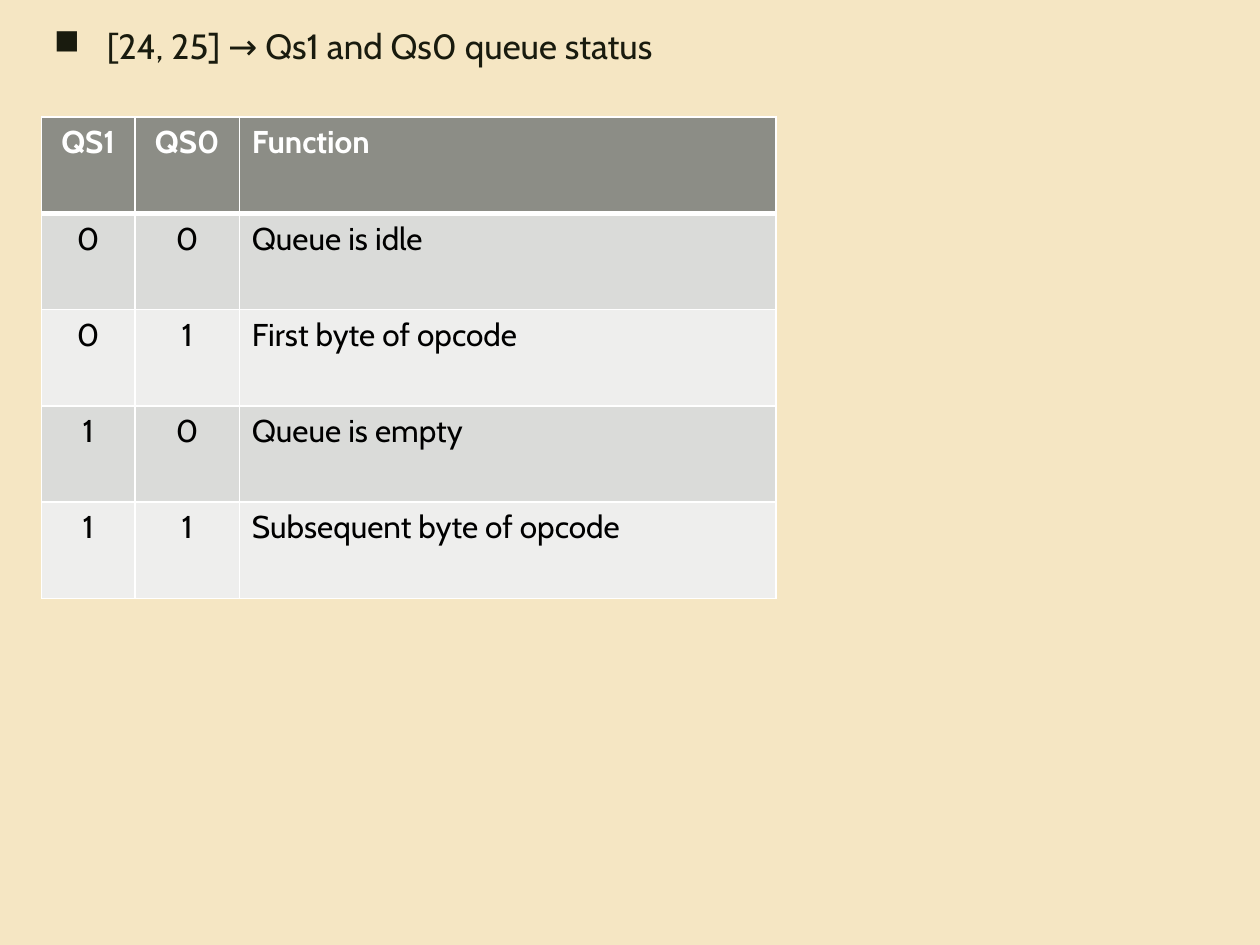
from lxml import etree
from pptx import Presentation
from pptx.dml.color import RGBColor
from pptx.enum.text import PP_ALIGN
from pptx.oxml.ns import qn
from pptx.util import Inches, Pt

CENTER, LEFT = PP_ALIGN.CENTER, PP_ALIGN.LEFT
FONT = "Cabin"
WHITE, BLACK, INK = "FFFFFF", "000000", "191B0E"
PAPER, HEADER = "F5E6C3", "8C8D86"
BANDS = ("DADBD9", "EEEEED")
COLUMN_WIDTHS = (0.74, 0.83, 4.26)
ROWS = (
    ("QS1", "QS0", "Function"),
    ("0", "0", "Queue is idle"),
    ("0", "1", "First byte of opcode"),
    ("1", "0", "Queue is empty"),
    ("1", "1", "Subsequent byte of opcode"),
)


def color(value):
    return RGBColor.from_string(value)


def style(para, size, value, bold=False):
    for span in para.runs:
        span.font.name = FONT
        span.font.size = Pt(size)
        span.font.bold = bold
        span.font.color.rgb = color(value)


def add_borders(cell, top, bottom):
    """Draw white cell borders; they must precede the fill in the XML."""
    properties = cell._tc.get_or_add_tcPr()
    widths = {"a:lnL": 1, "a:lnR": 1, "a:lnT": top, "a:lnB": bottom}
    for place, (tag, width) in enumerate(widths.items()):
        line = etree.Element(qn(tag), w=str(Pt(width)))
        fill = etree.SubElement(line, qn("a:solidFill"))
        etree.SubElement(fill, qn("a:srgbClr"), val=WHITE)
        properties.insert(place, line)


def add_bullet_line(page, left, top, width, height):
    box = page.shapes.add_textbox(*map(Inches, (left, top, width, height)))
    box.text_frame.word_wrap = True
    para = box.text_frame.paragraphs[0]
    para.text = "[24, 25] → Qs1 and Qs0 queue status"
    para.line_spacing = 0.94
    para.space_after = Pt(2)
    # Hanging square bullet
    properties = para._p.get_or_add_pPr()
    properties.set("marL", str(Inches(0.42)))
    properties.set("indent", str(Inches(-0.42)))
    etree.SubElement(properties, qn("a:buChar"), char="■")
    style(para, 20, INK)


def add_status_table(page, left, top, width, height):
    frame = page.shapes.add_table(len(ROWS), len(COLUMN_WIDTHS),
                                  *map(Inches, (left, top, width, height)))
    table = frame.table
    for column, share in zip(table.columns, COLUMN_WIDTHS):
        column.width = Inches(width * share / sum(COLUMN_WIDTHS))
    for row_index, texts in enumerate(ROWS):
        is_header = row_index == 0
        for column_index, text in enumerate(texts):
            cell = table.cell(row_index, column_index)
            cell.text = text
            cell.fill.solid()
            cell.fill.fore_color.rgb = color(
                HEADER if is_header else BANDS[(row_index - 1) % 2])
            # A heavier rule separates the header from the body
            add_borders(cell, top=3 if row_index == 1 else 1,
                        bottom=3 if is_header else 1)
            para = cell.text_frame.paragraphs[0]
            para.alignment = CENTER if column_index < 2 else LEFT
            style(para, 18, WHITE if is_header else BLACK, is_header)


def main():
    deck = Presentation()
    deck.slide_width, deck.slide_height = Inches(10), Inches(7.5)
    page = deck.slides.add_slide(deck.slide_layouts[6])
    page.background.fill.solid()
    page.background.fill.fore_color.rgb = color(PAPER)

    margin = 0.33
    add_status_table(page, margin, 0.93, sum(COLUMN_WIDTHS), 3.82)
    add_bullet_line(page, margin, 0.17, 8.75, 0.85)
    deck.save("out.pptx")


if __name__ == "__main__":
    main()
